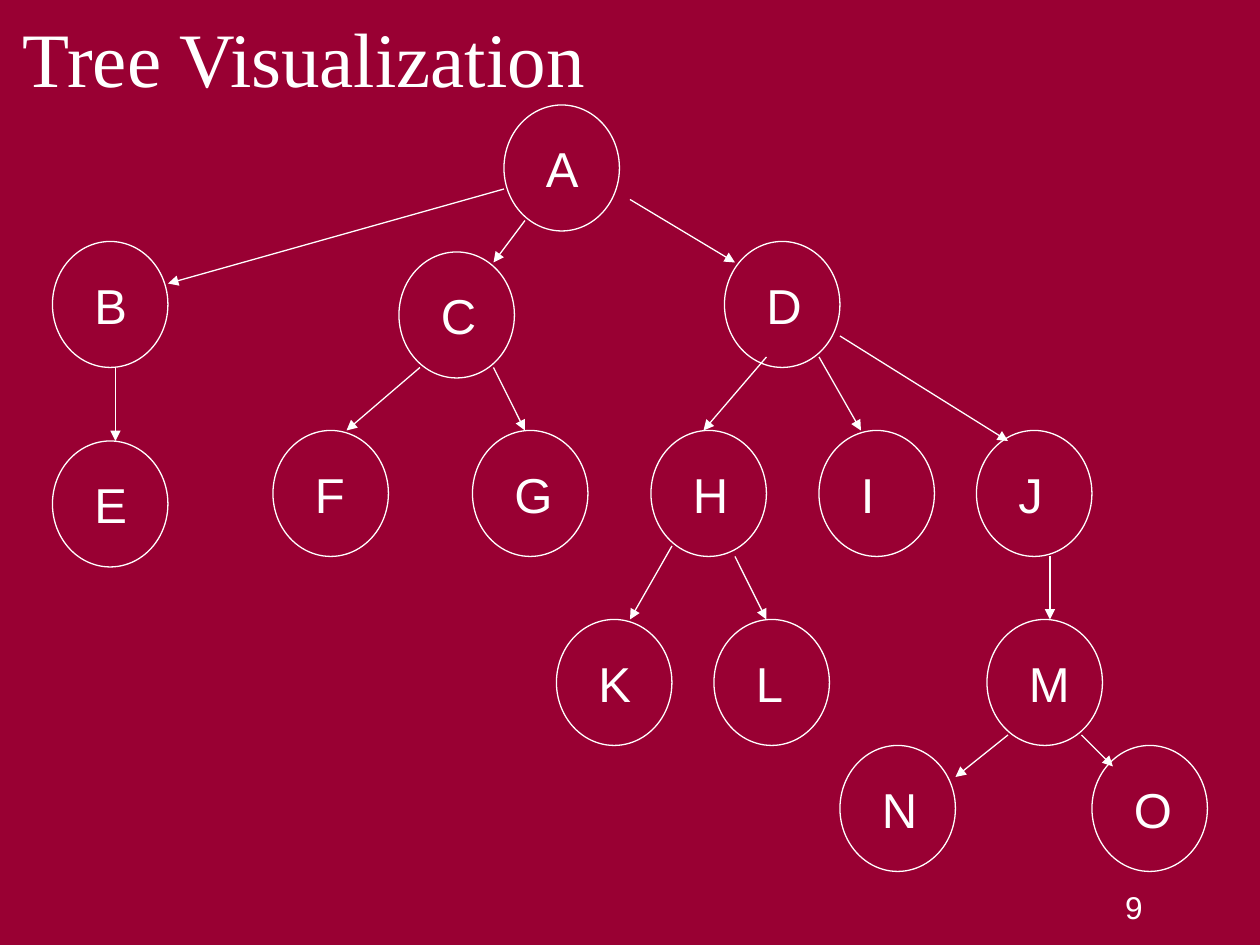
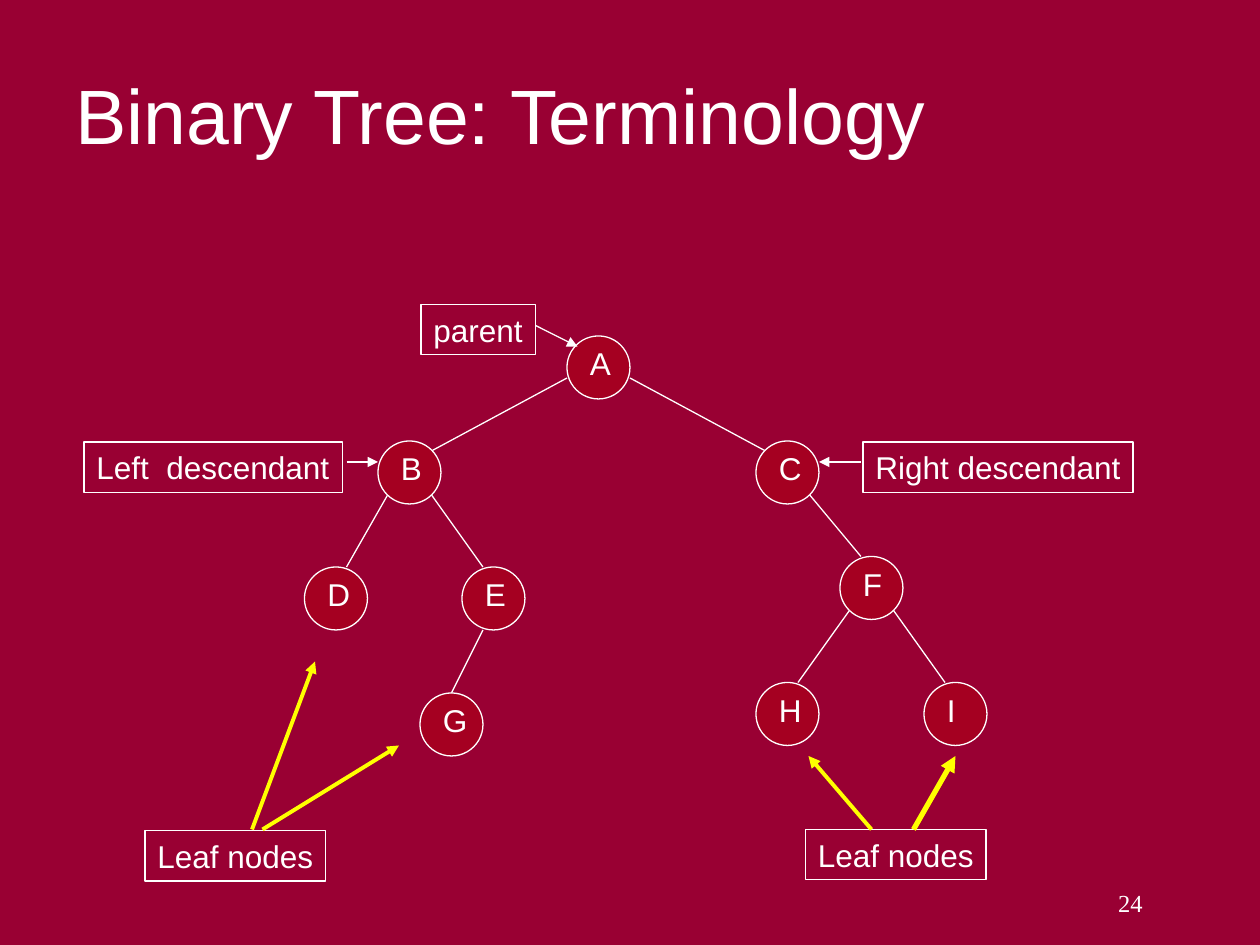
from lxml import etree
from pptx import Presentation
from pptx.dml.color import RGBColor
from pptx.enum.shapes import MSO_CONNECTOR, MSO_SHAPE
from pptx.enum.text import MSO_ANCHOR, PP_ALIGN
from pptx.oxml.ns import qn
from pptx.util import Emu, Pt

# Shared look
MAROON = RGBColor(0x99, 0x00, 0x33)
RED = RGBColor(0xA5, 0x00, 0x21)
WHITE = RGBColor(0xFF, 0xFF, 0xFF)
YELLOW = RGBColor(0xFF, 0xFF, 0x00)
SANS = "Arial"
SERIF = "Times New Roman"
PX = 914400 // 120  # 120 px to the inch

# Tree Visualization: left and top of each node, then start and end of each arrow
TREE_NODES = {
    "A": (480, 100), "B": (50, 230), "C": (380, 240), "D": (690, 230),
    "E": (50, 420), "F": (260, 410), "G": (450, 410), "H": (620, 410),
    "I": (780, 410), "J": (930, 410), "K": (530, 590), "L": (680, 590),
    "M": (940, 590), "N": (800, 710), "O": (1040, 710),
}
TREE_ARROWS = [
    (480, 180, 160, 270), (500, 210, 470, 250), (600, 190, 700, 250),
    (110, 350, 110, 420), (400, 350, 330, 410), (470, 350, 500, 410),
    (730, 340, 670, 410), (780, 340, 820, 410), (800, 320, 960, 420),
    (640, 520, 600, 590), (700, 530, 730, 590), (1000, 530, 1000, 590),
    (960, 700, 910, 740), (1030, 700, 1060, 730),
]

# Binary Tree: nodes, edges, labels and pointers
BINARY_NODES = {
    "A": (540, 320), "B": (360, 420), "C": (720, 420), "D": (290, 540),
    "E": (440, 540), "F": (800, 530), "G": (400, 660), "H": (720, 650),
    "I": (880, 650),
}
BINARY_EDGES = [
    (540, 360, 410, 430), (600, 360, 730, 430), (370, 470, 330, 540),
    (410, 470, 460, 540), (460, 600, 430, 660), (770, 470, 820, 530),
    (810, 580, 760, 650), (850, 580, 900, 650),
]
LABELS = [
    ("parent", 401, 290, 109), ("Left  descendant", 80, 421, 246),
    ("Right descendant", 822, 421, 257), ("Leaf nodes", 138, 791, 172),
    ("Leaf nodes", 767, 790, 172),
]
ROLE_ARROWS = [(510, 310, 550, 330), (330, 440, 360, 440), (820, 440, 780, 440)]
LEAF_ARROWS = [
    (240, 790, 300, 630, 2.25), (250, 790, 380, 710, 2.25),
    (830, 790, 770, 720, 2.25), (870, 790, 910, 720, 3),
]


def px(*lengths):
    return [Emu(n * PX) for n in lengths]


def write(tf, text, size=18, font=SANS, color=WHITE, align=PP_ALIGN.LEFT,
          anchor=MSO_ANCHOR.TOP, wrap=True):
    tf.word_wrap = wrap
    tf.vertical_anchor = anchor
    tf.margin_left, tf.margin_right, tf.margin_top, tf.margin_bottom = px(12, 12, 6, 6)
    p = tf.paragraphs[0]
    p.alignment = align
    r = p.add_run()
    r.text = text
    r.font.size = Pt(size)
    r.font.name = font
    r.font.color.rgb = color


def add_text(shapes, text, box, **fmt):
    write(shapes.add_textbox(*px(*box)).text_frame, text, **fmt)


def add_outlined(shapes, kind, box, fill=None):
    sp = shapes.add_shape(kind, *px(*box))
    sp.shadow.inherit = False
    if fill is None:
        sp.fill.background()
    else:
        sp.fill.solid()
        sp.fill.fore_color.rgb = fill
    sp.line.color.rgb = WHITE
    sp.line.width = Pt(0.75)
    return sp


def add_node(s, letter, circle, label, size, fill=None):
    """Circle and letter, grouped so that they move together."""
    shapes = s.shapes.add_group_shape().shapes
    add_outlined(shapes, MSO_SHAPE.OVAL, circle, fill)
    add_text(shapes, letter, label, size=size)


def add_label(s, text, left, top, width):
    sp = add_outlined(s.shapes, MSO_SHAPE.RECTANGLE, (left, top, width, 48))
    write(sp.text_frame, text, wrap=False)


def add_line(s, ends, color=WHITE, width=0.75, arrow=False):
    c = s.shapes.add_connector(MSO_CONNECTOR.STRAIGHT, *px(*ends))
    c.line.color.rgb = color
    c.line.width = Pt(width)
    if arrow:
        etree.SubElement(c.line._get_or_add_ln(), qn("a:tailEnd"), type="triangle")
    etree.SubElement(c._element.spPr, qn("a:effectLst"))


def new_slide(prs, title, title_box, title_font, number, number_size, number_font):
    s = prs.slides.add_slide(prs.slide_layouts[6])
    s.background.fill.solid()
    s.background.fill.fore_color.rgb = MAROON
    add_text(s.shapes, title, title_box, size=44, font=title_font,
             anchor=MSO_ANCHOR.MIDDLE)
    add_text(s.shapes, number, (850, 840, 250, 60), size=number_size,
             font=number_font, align=PP_ALIGN.RIGHT)
    return s


def tree_slide(prs):
    s = new_slide(prs, "Tree Visualization", (10, 12, 1020, 84), SERIF, "9", 18, SANS)
    for letter, (x, y) in TREE_NODES.items():
        add_node(s, letter, (x, y, 110, 120), (x + 28, y + 26, 64, 68), 28)
    for ends in TREE_ARROWS:
        add_line(s, ends, arrow=True)


def binary_slide(prs):
    s = new_slide(prs, "Binary Tree: Terminology", (60, 48, 1080, 120), SANS,
                  "24", 14, SERIF)
    # Edges lie behind the nodes
    for ends in BINARY_EDGES:
        add_line(s, ends)
    for letter, (x, y) in BINARY_NODES.items():
        add_node(s, letter, (x, y, 60, 60), (x + 10, y + 2, 50, 48), 18, RED)
    # Labels and their pointers
    for label in LABELS:
        add_label(s, *label)
    for ends in ROLE_ARROWS:
        add_line(s, ends, arrow=True)
    for *ends, width in LEAF_ARROWS:
        add_line(s, ends, YELLOW, width, arrow=True)


def main():
    prs = Presentation()
    prs.slide_width, prs.slide_height = px(1200, 900)
    tree_slide(prs)
    binary_slide(prs)
    prs.save("out.pptx")


if __name__ == "__main__":
    main()
